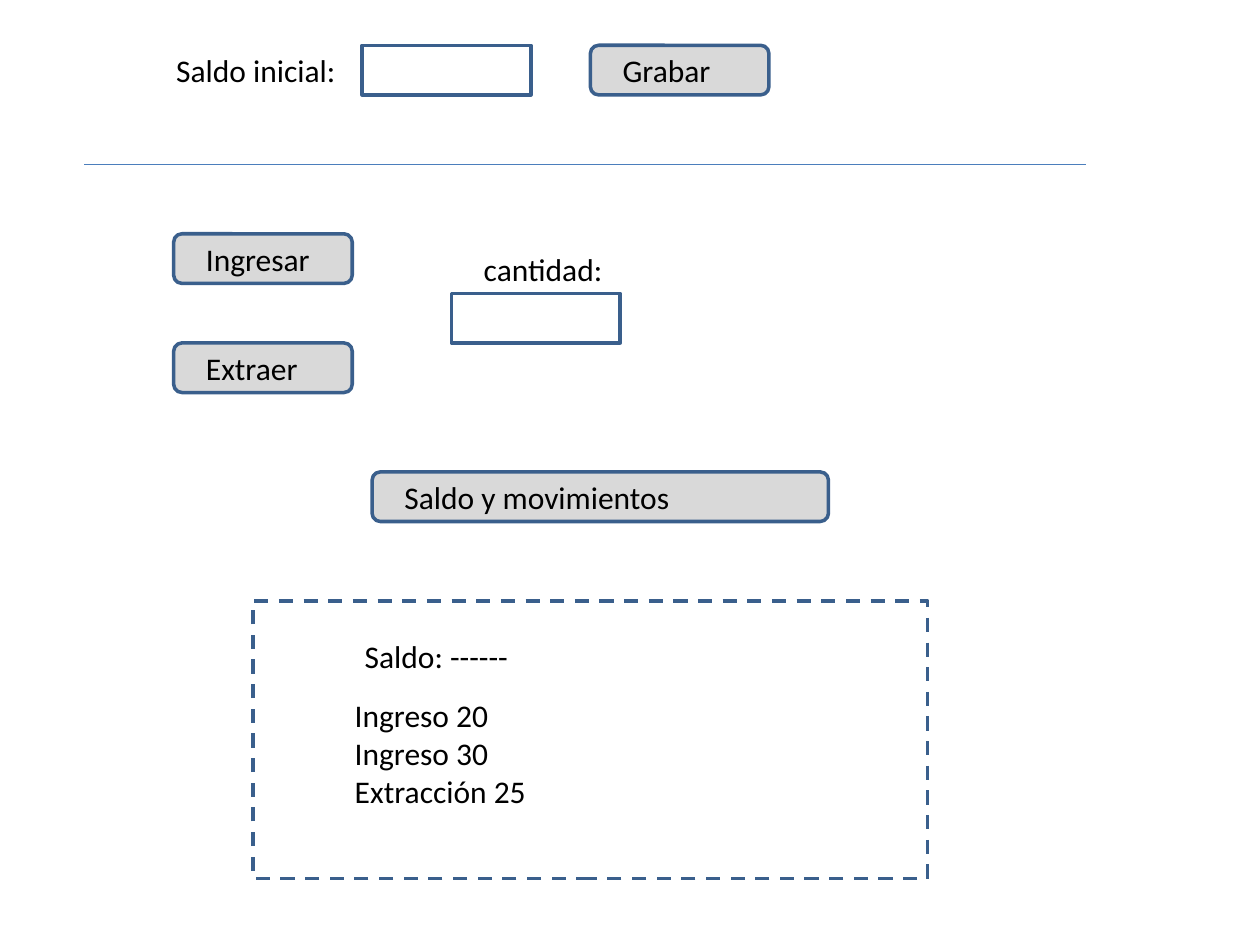
from lxml.etree import SubElement
from pptx import Presentation
from pptx.dml.color import RGBColor
from pptx.enum.dml import MSO_LINE
from pptx.enum.shapes import MSO_CONNECTOR, MSO_SHAPE
from pptx.enum.text import MSO_AUTO_SIZE
from pptx.oxml.ns import qn
from pptx.util import Inches, Mm, Pt

COLORS = {"edge": "3A5F8C", "rule": "4B7EBC", "button": "D9D9D9", "text": "000000"}
UNIT = Mm(2)
LEFT, TOP = Inches(0.67), Inches(0.36)
HIGH = 5


def color(name):
    """Look up a named colour."""
    return RGBColor.from_string(COLORS[name])


def place(col, row, wide, high):
    """Turn grid columns and rows into slide lengths."""
    return LEFT + col * UNIT, TOP + row * UNIT, wide * UNIT, high * UNIT


def text(slide, words, col, row, wide, high=HIGH, size=18, font="Calibri", ink="text"):
    """Add a text box with one paragraph per line."""
    frame = slide.shapes.add_textbox(*place(col, row, wide, high)).text_frame
    frame.word_wrap = True
    frame.auto_size = MSO_AUTO_SIZE.SHAPE_TO_FIT_TEXT
    frame.text = words
    for para in frame.paragraphs:
        para.font.size = Pt(size)
        para.font.name = font
        para.font.color.rgb = color(ink)


def box(slide, col, row, wide, high=HIGH, kind=MSO_SHAPE.RECTANGLE, fill=None, dash=None):
    """Add an outlined box, empty unless a fill is named."""
    shape = slide.shapes.add_shape(kind, *place(col, row, wide, high))
    shape.shadow.inherit = False
    if fill:
        shape.fill.solid()
        shape.fill.fore_color.rgb = color(fill)
    else:
        shape.fill.background()
    shape.line.color.rgb = color("edge")
    shape.line.width = Pt(2)
    if dash:
        shape.line.dash_style = dash


def button(slide, words, col, row, wide=18, span=16):
    """Add a rounded button with its label set in by two columns."""
    box(slide, col, row, wide, kind=MSO_SHAPE.ROUNDED_RECTANGLE, fill="button")
    text(slide, words, col + 2, row, span)


def rule(slide, col, row, wide):
    """Add a thin horizontal divider."""
    x, y, w, _ = place(col, row, wide, 0)
    line = slide.shapes.add_connector(MSO_CONNECTOR.STRAIGHT, x, y, x + w, y)
    line.line.color.rgb = color("rule")
    line.line.width = Pt(0.75)
    SubElement(line._element.spPr, qn("a:effectLst"))


def main():
    """Build the account form and save it."""
    deck = Presentation()
    deck.slide_width, deck.slide_height = Inches(10), Inches(7.5)
    slide = deck.slides.add_slide(deck.slide_layouts[6])

    text(slide, "Saldo inicial:", 8, 0, 34)
    box(slide, 28, 0, 17)
    button(slide, "Grabar", 51, 0)
    rule(slide, 0, 12, 101)

    for row, words in ((19, "Ingresar"), (30, "Extraer")):
        button(slide, words, 9, row)
    box(slide, 37, 25, 17)
    text(slide, "cantidad:", 39, 20, 18)
    button(slide, "Saldo y movimientos", 29, 43, wide=46, span=36)

    box(slide, 17, 56, 68, 28, dash=MSO_LINE.DASH)
    text(slide, "Saldo: ------", 27, 59, 19)
    text(slide, "Ingreso 20\nIngreso 30\nExtracción 25", 26, 65, 23, 13)

    deck.save("out.pptx")


if __name__ == "__main__":
    main()
